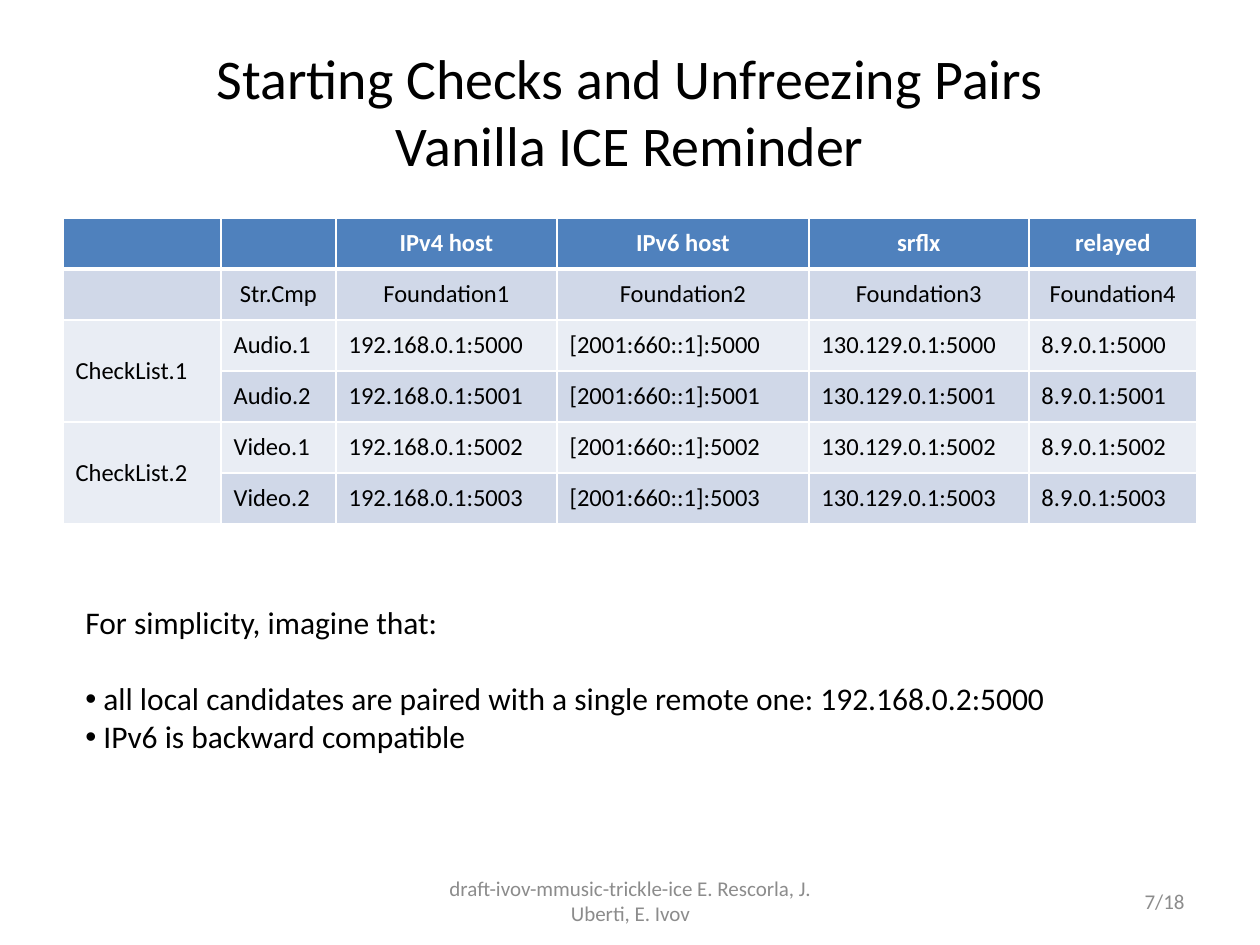
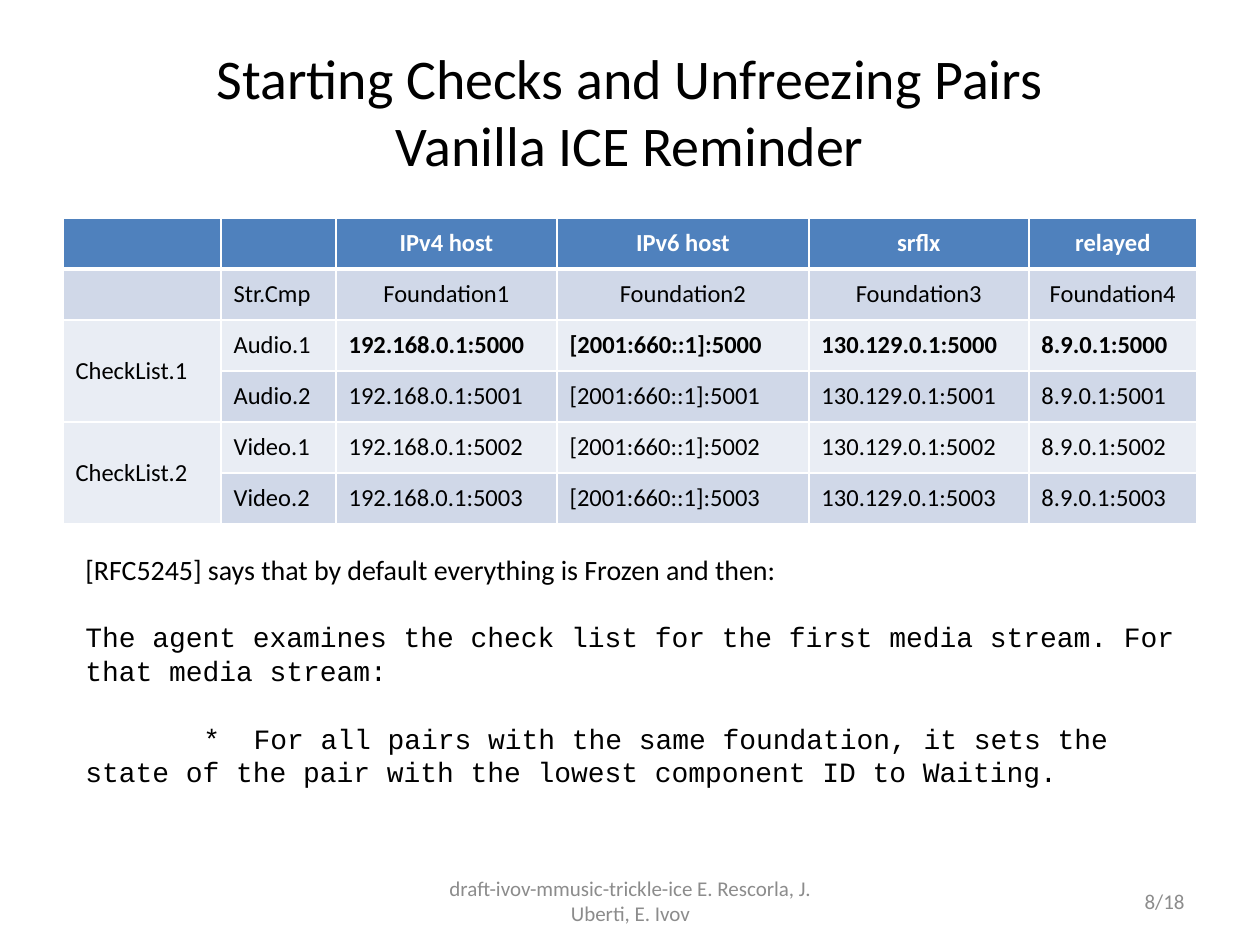
from lxml.etree import SubElement
from pptx import Presentation
from pptx.dml.color import RGBColor
from pptx.enum.text import MSO_ANCHOR, MSO_AUTO_SIZE, PP_ALIGN
from pptx.oxml.ns import qn
from pptx.util import Pt

PX = 914400 // 126
BLACK = RGBColor(0, 0, 0)
WHITE = RGBColor(255, 255, 255)
GREY = RGBColor(0x8C, 0x8C, 0x8C)
BLUE = RGBColor(0x4F, 0x81, 0xBD)
DARK = RGBColor(0xD0, 0xD8, 0xE8)
LIGHT = RGBColor(0xE9, 0xED, 0xF4)
SANS, MONO = "Calibri", "Courier New"
LEFT, MID, RIGHT = PP_ALIGN.LEFT, PP_ALIGN.CENTER, PP_ALIGN.RIGHT

TITLE = "Starting Checks and Unfreezing Pairs\vVanilla ICE Reminder"
FOOTER = "draft-ivov-mmusic-trickle-ice E. Rescorla, J. Uberti, E. Ivov"
TOTAL = 18
COLS = [158, 115, 221, 252, 220, 168]
HEADS = ["IPv4 host", "IPv6 host", "srflx", "relayed"]
HOSTS = ["192.168.0.1", "[2001:660::1]", "130.129.0.1", "8.9.0.1"]
STREAMS = ["Audio.1", "Audio.2", "Video.1", "Video.2"]


def style(para, text, size, color=BLACK, align=LEFT, face=SANS, bold=False):
    """Fill a paragraph with text in one font."""
    para.text = text
    para.alignment = align
    font = para.font
    font.name, font.size, font.bold = face, Pt(size), bold
    font.color.rgb = color


def add_box(slide, box, anchor=MSO_ANCHOR.MIDDLE):
    """Add a wrapping text box and return its frame."""
    frame = slide.shapes.add_textbox(*(n * PX for n in box)).text_frame
    frame.word_wrap = True
    frame.vertical_anchor = anchor
    return frame


def add_frame(slide, number):
    """Add the title, footer and page number that all slides share."""
    parts = [
        ((63, 32, 1134, 157), TITLE, 32, BLACK, MID),
        ((431, 876, 399, 50), FOOTER, 12, GREY, MID),
        ((903, 876, 294, 50), f"{number}/{TOTAL}", 12, GREY, RIGHT),
    ]
    for box, text, size, color, align in parts:
        style(add_box(slide, box).paragraphs[0], text, size, color, align)


def add_edges(cell, row):
    """Draw white cell borders, thick below the header row."""
    props = cell._tc.get_or_add_tcPr()
    for side in "LRTB":
        thick = (row, side) in [(0, "B"), (1, "T")]
        line = SubElement(props, qn(f"a:ln{side}"), w=str(Pt(3 if thick else 1)))
        fill = SubElement(line, qn("a:solidFill"))
        SubElement(fill, qn("a:srgbClr"), val=str(WHITE))


def add_pairs(slide, left, top, high, label, strong):
    """Add the candidate table, with the rows in strong set bold."""
    rows = [["", ""] + HEADS,
            ["", "Str.Cmp"] + [f"Foundation{n}" for n in range(1, 5)]]
    for i, stream in enumerate(STREAMS):
        check = "" if i % 2 else f"CheckList.{i // 2 + 1}"
        rows.append([check, stream] + [f"{host}:{5000 + i}" for host in HOSTS])
    grid = slide.shapes.add_table(
        len(rows), len(COLS), left * PX, top * PX,
        sum(COLS) * PX, len(rows) * high * PX).table
    for col, width in zip(grid.columns, COLS):
        col.width = width * PX
    for r, texts in enumerate(rows):
        grid.rows[r].height = high * PX
        for c, text in enumerate(texts):
            cell = grid.cell(r, c)
            add_edges(cell, r)
            cell.fill.solid()
            light = r > 1 and (c == 0 or r % 2 == 0)
            cell.fill.fore_color.rgb = BLUE if r == 0 else LIGHT if light else DARK
            cell.vertical_anchor = MSO_ANCHOR.MIDDLE
            align = label if (r, c) == (1, 1) else MID if r < 2 else LEFT
            bold = r == 0 or (r in strong and c > 1)
            style(cell.text_frame.paragraphs[0], text, 14,
                  BLACK if r else WHITE, align, bold=bold)
    for r in (2, 4):
        grid.cell(r, 0).merge(grid.cell(r + 1, 0))


def add_notes(slide, box, size, lines):
    """Add body text from (text, face, gap, margin, indent, bullet) lines."""
    frame = add_box(slide, box, MSO_ANCHOR.TOP)
    frame.auto_size = MSO_AUTO_SIZE.SHAPE_TO_FIT_TEXT
    for i, (text, face, gap, margin, indent, bullet) in enumerate(lines):
        para = frame.add_paragraph() if i else frame.paragraphs[0]
        style(para, text, size, face=face)
        para.space_before = Pt(gap)
        props = para._p.get_or_add_pPr()
        props.set("marL", str(margin * PX))
        props.set("indent", str(indent * PX))
        if bullet:
            SubElement(props, qn("a:buFont"), typeface="Arial")
            SubElement(props, qn("a:buChar"), char=bullet)
            props.append(props.find(qn("a:defRPr")))


def build():
    """Build both slides and save the deck."""
    deck = Presentation()
    deck.slide_width, deck.slide_height = 1260 * PX, 945 * PX
    simple = [
        ("For simplicity, imagine that:", SANS, 0, 0, 0, ""),
        ("all local candidates are paired with a single remote one: "
         "192.168.0.2:5000", SANS, 22, 18, -18, "•"),
        ("IPv6 is backward compatible", SANS, 0, 18, -18, "•"),
    ]
    frozen = [
        ("[RFC5245] says that by default everything is Frozen and then:",
         SANS, 0, 0, 0, ""),
        ("The agent examines the check list for the first media stream. "
         "For that media stream:", MONO, 19.5, 0, 0, ""),
        ("*  For all pairs with the same foundation, it sets the state of "
         "the pair with the lowest component ID to Waiting.",
         MONO, 19.5, 0, 118, ""),
    ]
    pages = [
        (7, MID, [], (73, 597, 1124, 165), 18, simple),
        (8, LEFT, [2], (73, 546, 1124, 251), 16, frozen),
    ]
    for number, label, strong, box, size, lines in pages:
        slide = deck.slides.add_slide(deck.slide_layouts[6])
        add_frame(slide, number)
        add_pairs(slide, 63, 218, 51, label, strong)
        add_notes(slide, box, size, lines)
    deck.save("out.pptx")


build()
